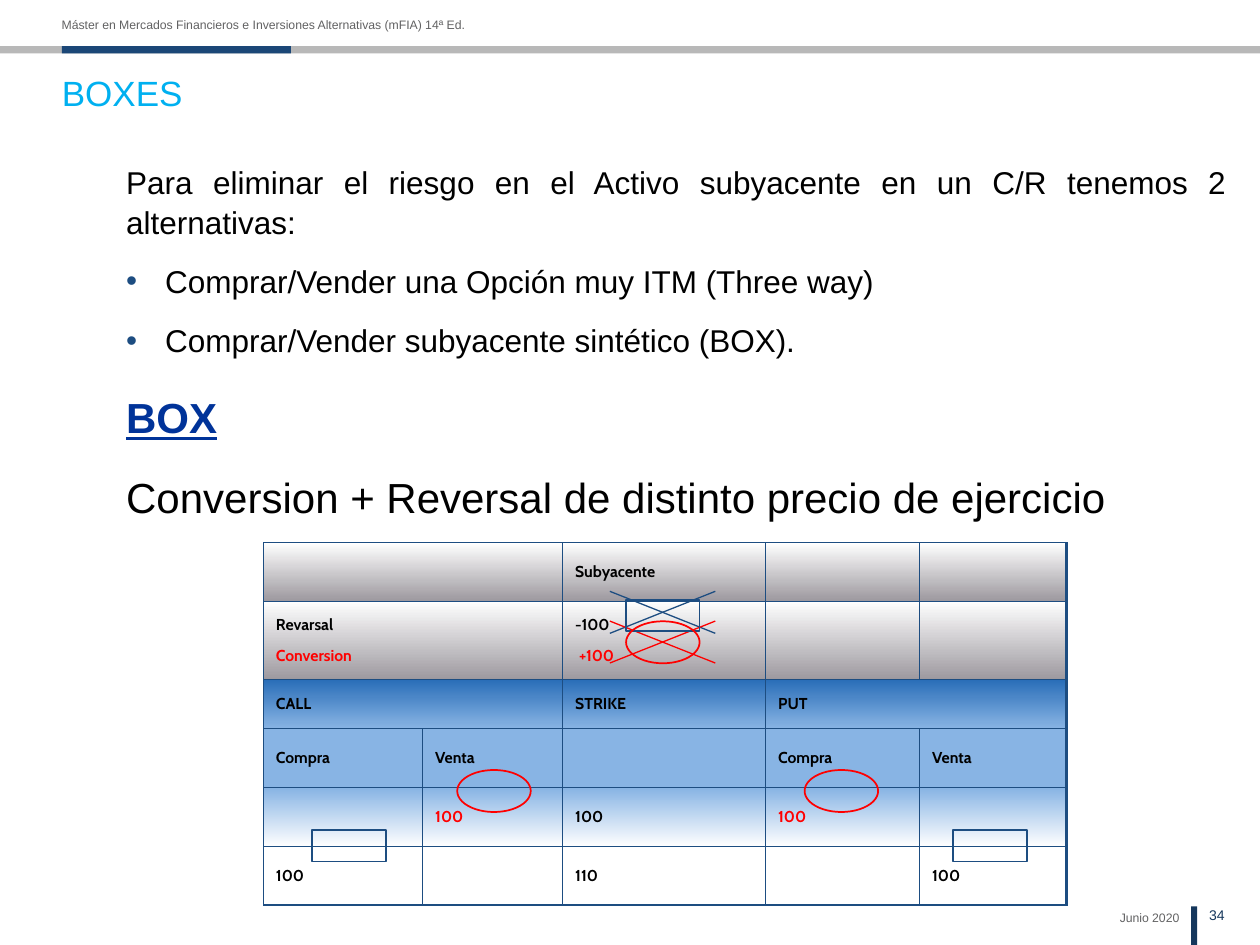
from dataclasses import dataclass

import pptx
import pptx.dml.color
import pptx.enum.shapes
import pptx.enum.text
import pptx.oxml
import pptx.oxml.ns
import pptx.util
from lxml import etree

Pt = pptx.util.Pt
Shape = pptx.enum.shapes.MSO_SHAPE
Align = pptx.enum.text.PP_ALIGN
qn = pptx.oxml.ns.qn

COLORS = {
    "black": "000000", "white": "FFFFFF", "red": "FF0000", "title": "00B0F0",
    "heading": "003399", "line": "1D4D81", "bar": "1B4777", "band": "B8B8B8",
    "footer": "15375C", "caption": "626263", "grey": "9D999F",
    "blue": "2A6EB8", "sky": "88B4E4",
}


@dataclass
class Line:
    text: str
    size: float
    color: str = "black"
    bold: bool = False
    underline: bool = False
    align: Align = Align.LEFT
    before: float = 0
    spacing: float = 1.0
    indent: float = 0
    bullet: bool = False
    font: str = "Arial"


@dataclass
class TextBox:
    left: float
    top: float
    width: float
    height: float
    lines: list[Line]
    padded: bool = False


@dataclass
class Marker:
    kind: Shape
    left: float
    top: float
    color: str


def rgb(name: str) -> pptx.dml.color.RGBColor:
    return pptx.dml.color.RGBColor.from_string(COLORS[name])


def write_lines(frame, lines: list[Line]) -> None:
    for index, line in enumerate(lines):
        paragraph = frame.paragraphs[0] if index == 0 else frame.add_paragraph()
        paragraph.add_run().text = line.text
        paragraph.alignment = line.align
        paragraph.space_before = Pt(line.before if index else 0)
        paragraph.line_spacing = line.spacing
        properties = paragraph._p.get_or_add_pPr()
        if line.indent:
            properties.set("marL", str(Pt(line.indent)))
        if line.bullet:
            properties.set("indent", str(-Pt(line.indent)))
            color = etree.SubElement(properties, qn("a:buClr"))
            etree.SubElement(color, qn("a:srgbClr"), val=COLORS["line"])
            etree.SubElement(properties, qn("a:buFont"), typeface="Arial")
            etree.SubElement(properties, qn("a:buChar"), char="•")
        font = paragraph.font
        font.name, font.size, font.bold = line.font, Pt(line.size), line.bold
        font.underline = line.underline
        font.color.rgb = rgb(line.color)


def add_text(slide, box: TextBox) -> None:
    shape = slide.shapes.add_textbox(Pt(box.left), Pt(box.top), Pt(box.width), Pt(box.height))
    frame = shape.text_frame
    frame.word_wrap = True
    if not box.padded:
        frame.margin_left = frame.margin_right = frame.margin_top = frame.margin_bottom = 0
    write_lines(frame, box.lines)


def add_bar(slide, left: float, top: float, width: float, height: float, color: str) -> None:
    shape = slide.shapes.add_shape(Shape.RECTANGLE, Pt(left), Pt(top), Pt(width), Pt(height))
    shape.shadow.inherit = False
    shape.fill.solid()
    shape.fill.fore_color.rgb = rgb(color)
    shape.line.fill.background()


def add_marker(slide, marker: Marker) -> None:
    height = 18 if marker.kind == Shape.RECTANGLE else 24
    shape = slide.shapes.add_shape(marker.kind, Pt(marker.left), Pt(marker.top), Pt(42), Pt(height))
    shape.shadow.inherit = False
    shape.fill.background()
    shape.line.color.rgb = rgb(marker.color)
    shape.line.width = Pt(1)


def add_cross(slide, top: float, color: str) -> None:
    left, right, bottom = 348.5, 408.75, top + 24
    for start, end in ((right, left), (left, right)):
        line = slide.shapes.add_connector(
            pptx.enum.shapes.MSO_CONNECTOR.STRAIGHT, Pt(start), Pt(top), Pt(end), Pt(bottom))
        line.line.color.rgb = rgb(color)
        line.line.width = Pt(0.75)
        etree.SubElement(line._element.spPr, qn("a:effectLst"))


def set_borders(cell, right: float, bottom: float) -> None:
    properties = cell._tc.get_or_add_tcPr()
    for side, width in (("L", 0.45), ("R", right), ("T", 0.45), ("B", bottom)):
        border = etree.SubElement(properties, qn(f"a:ln{side}"), w=str(Pt(width)))
        fill = etree.SubElement(border, qn("a:solidFill"))
        etree.SubElement(fill, qn("a:srgbClr"), val=COLORS["line"])


def fill_cell(cell, top_color: str, bottom_color: str) -> None:
    """Fill with a downward gradient, or plainly when both colours agree."""
    if top_color == bottom_color:
        cell.fill.solid()
        cell.fill.fore_color.rgb = rgb(top_color)
        return
    cell.fill.gradient()
    cell.fill.gradient_angle = 270
    for stop, color in zip(cell.fill.gradient_stops, (top_color, bottom_color)):
        stop.color.rgb = rgb(color)


def label(text: str, color: str = "black", indent: float = 0) -> Line:
    return Line(text, 9, color, bold=True, align=Align.JUSTIFY, before=6.8,
                indent=indent, font="Cabin")


COLUMN_WIDTHS = (91, 80, 116, 88, 84)
ROW_HEIGHTS = (33.5, 45, 28, 33.7, 33.7, 33.5)
ROW_FILLS = (("white", "grey"), ("white", "grey"), ("blue", "sky"),
             ("sky", "sky"), ("sky", "white"), ("white", "white"))
MERGES = ((0, 0), (1, 0), (2, 0), (2, 3))
CELLS = {
    (0, 2): [label("Subyacente")],
    (1, 0): [label("Revarsal"), label("Conversion", "red")],
    (1, 2): [label("-100"), label("+100", "red", indent=2.3)],
    (2, 0): [label("CALL")], (2, 2): [label("STRIKE")], (2, 3): [label("PUT")],
    (3, 0): [label("Compra")], (3, 1): [label("Venta")],
    (3, 3): [label("Compra")], (3, 4): [label("Venta")],
    (4, 1): [label("100", "red")], (4, 2): [label("100")], (4, 3): [label("100", "red")],
    (5, 0): [label("100")], (5, 2): [label("110")], (5, 4): [label("100")],
}


def add_position_table(slide) -> None:
    rows, columns = len(ROW_HEIGHTS), len(COLUMN_WIDTHS)
    table = slide.shapes.add_table(rows, columns, Pt(150.5), Pt(310), Pt(sum(COLUMN_WIDTHS)),
                                   Pt(sum(ROW_HEIGHTS))).table
    table.first_row = table.horz_banding = False
    for column, width in zip(table.columns, COLUMN_WIDTHS):
        column.width = Pt(width)
    for row, height in enumerate(ROW_HEIGHTS):
        table.rows[row].height = Pt(height)
        for column in range(columns):
            cell = table.cell(row, column)
            set_borders(cell, 1.47 if column == columns - 1 else 0.45,
                        1.47 if row == rows - 1 else 0.45)
            fill_cell(cell, *ROW_FILLS[row])
            cell.vertical_anchor = pptx.enum.text.MSO_ANCHOR.MIDDLE
            if (row, column) in CELLS:
                write_lines(cell.text_frame, CELLS[row, column])
            else:
                cell.text_frame.paragraphs[0].font.size = Pt(9)
    for row, column in MERGES:
        table.cell(row, column).merge(table.cell(row, column + 1))
    for row, column in ((2, 3),):
        set_right = table.cell(row, column)._tc.tcPr.find(qn("a:lnR"))
        set_right.set("w", str(Pt(1.47)))


def body(text: str, bullet: bool = False) -> Line:
    return Line(text, 18, align=Align.JUSTIFY, before=11.2, spacing=1.05,
                indent=22.3 if bullet else 0, bullet=bullet)


TEXTS = [
    TextBox(35.3, 10, 291, 9, [Line(
        "Máster en Mercados Financieros e Inversiones Alternativas (mFIA) 14ª Ed.", 7, "caption")]),
    TextBox(691, 518, 28, 9, [Line("34", 8, "footer")]),
    TextBox(592.5, 520, 81.4, 9, [Line("Junio 2020", 7, "caption", align=Align.RIGHT)]),
    TextBox(35.3, 38.2, 647, 90, [Line("BOXES", 20, "title", spacing=1.1)]),
    TextBox(65, 219, 655, 80, [
        Line("BOX", 24, "heading", bold=True, underline=True, spacing=1.05),
        Line("Conversion + Reversal de distinto precio de ejercicio", 24, before=15, spacing=1.05),
    ], padded=True),
    TextBox(65, 88.5, 643, 116.6, [
        body("Para eliminar el riesgo en el Activo subyacente en un C/R tenemos 2 alternativas:"),
        body("Comprar/Vender una Opción muy ITM (Three way)", bullet=True),
        body("Comprar/Vender subyacente sintético (BOX).", bullet=True),
    ], padded=True),
]
MARKERS = (
    [Marker(Shape.RECTANGLE, left, top, "line")
     for left, top in ((178.5, 474.3), (544.8, 474.3), (357.8, 342.8))]
    + [Marker(Shape.OVAL, left, top, "red")
       for left, top in ((261.3, 440), (357.8, 355), (459.8, 440))]
)


def main() -> None:
    presentation = pptx.Presentation()
    presentation.slide_width, presentation.slide_height = Pt(720), Pt(540)
    slide = presentation.slides.add_slide(presentation.slide_layouts[6])
    add_bar(slide, 0, 26.4, 720, 4.2, "band")
    add_bar(slide, 35.3, 26.4, 131, 4.2, "bar")
    add_bar(slide, 680.7, 518, 3.4, 22, "footer")
    add_position_table(slide)
    for box in TEXTS:
        add_text(slide, box)
    add_cross(slide, 337.9, "line")
    add_cross(slide, 354.9, "red")
    for marker in MARKERS:
        add_marker(slide, marker)
    presentation.save("out.pptx")


if __name__ == "__main__":
    main()
